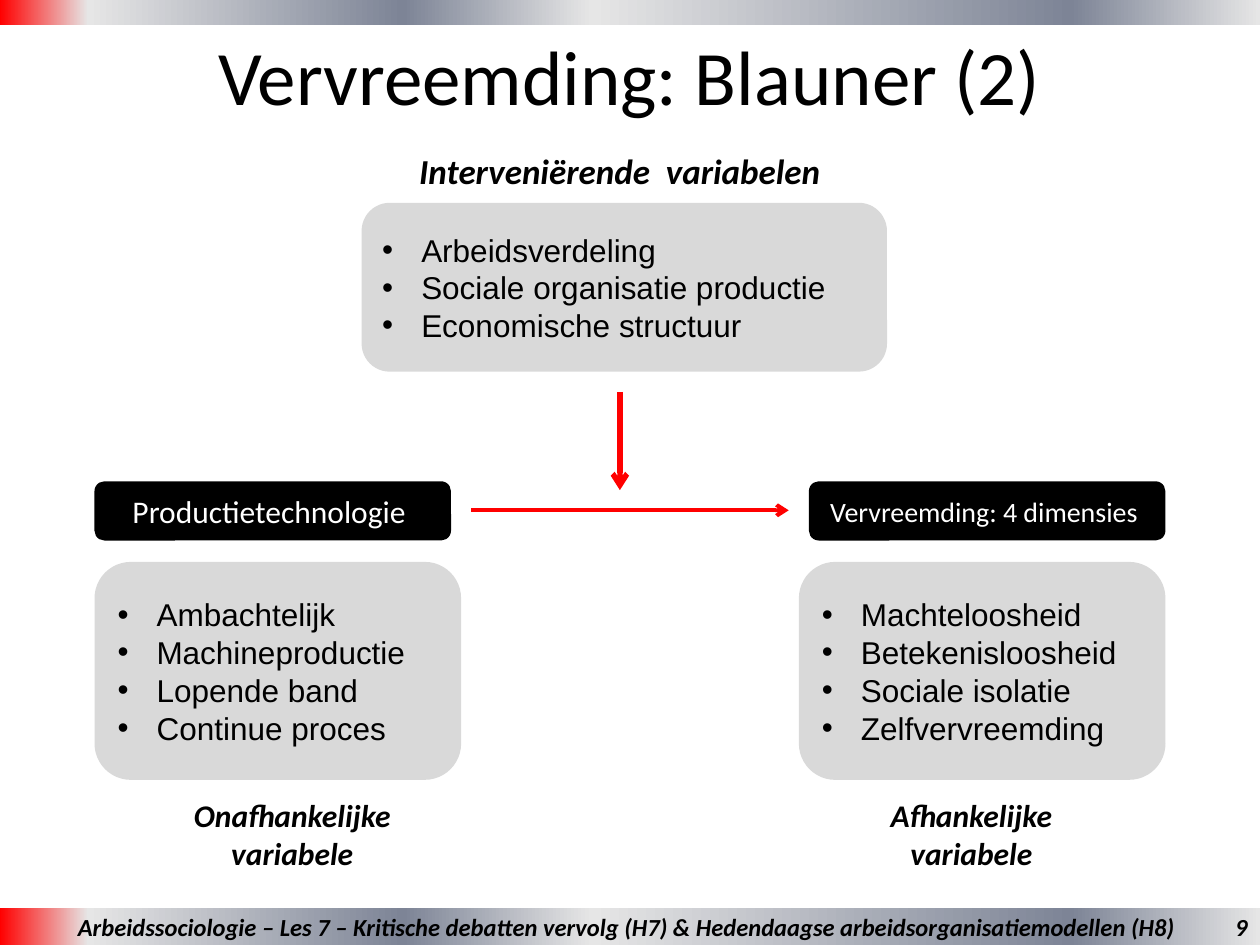
from lxml.etree import SubElement
from pptx import Presentation
from pptx.dml.color import RGBColor
from pptx.enum.shapes import MSO_CONNECTOR, MSO_SHAPE
from pptx.enum.text import MSO_ANCHOR, PP_ALIGN
from pptx.oxml.ns import qn
from pptx.util import Inches, Pt

BAND_STOPS = [(0, "FF0000"), (7, "E6E6E6"), (32, "7D8496"),
              (47, "E6E6E6"), (85, "7D8496"), (100, "E6E6E6")]
LEFT, RIGHT = 0.75, 9.25
HEADER_W, LIST_W = 2.83, 2.91


def rgb(value):
    return RGBColor.from_string(value)


class Deck:
    """Holds the style and the current slide."""
    black, white, grey, red = "000000", "FFFFFF", "D9D9D9", "FF0000"
    heading_font, list_font = "Calibri", "Arial"
    indent = 0.31

    def __init__(self, prs):
        self.s = prs.slides.add_slide(prs.slide_layouts[6])

    def set_text(self, sp, lines, size, font=None, color=None,
                 align=PP_ALIGN.CENTER, strong=False, bullets=False,
                 anchor=MSO_ANCHOR.MIDDLE):
        tf = sp.text_frame
        tf.word_wrap = True
        tf.vertical_anchor = anchor
        tf.text = "\n".join(lines)
        for p in tf.paragraphs:
            p.alignment = align
            if bullets:
                self.bullet(p)
            for r in p.runs:
                r.font.name = font or self.heading_font
                r.font.size = Pt(size)
                r.font.bold = r.font.italic = strong
                r.font.color.rgb = rgb(color or self.black)

    def bullet(self, p):
        pPr = p._p.get_or_add_pPr()
        pPr.set("marL", str(Inches(self.indent)))
        pPr.set("indent", str(-Inches(self.indent)))
        SubElement(pPr, qn("a:buFont"), typeface=self.list_font)
        SubElement(pPr, qn("a:buChar"), char="•")

    def label(self, text, x, y, w, h, size, **style):
        sp = self.s.shapes.add_textbox(*map(Inches, (x, y, w, h)))
        self.set_text(sp, [text], size, **style)

    def box(self, kind, x, y, w, h):
        sp = self.s.shapes.add_shape(kind, *map(Inches, (x, y, w, h)))
        sp.shadow.inherit = False
        sp.line.fill.background()
        return sp

    def band(self, y, h):
        sp = self.box(MSO_SHAPE.RECTANGLE, 0, y, 10, h)
        sp.fill.gradient()
        sp.fill.gradient_angle = 0
        stops = sp._element.spPr.find(qn("a:gradFill")).find(qn("a:gsLst"))
        for old in list(stops):
            stops.remove(old)
        for percent, color in BAND_STOPS:
            gs = SubElement(stops, qn("a:gs"), pos=str(percent * 1000))
            SubElement(gs, qn("a:srgbClr"), val=color)
        return sp

    def header(self, text, x, size):
        sp = self.box(MSO_SHAPE.ROUNDED_RECTANGLE, x, 3.82, HEADER_W, 0.47)
        sp.fill.solid()
        sp.fill.fore_color.rgb = rgb(self.black)
        self.set_text(sp, [text], size, color=self.white)

    def bullet_box(self, items, x, y, w, h):
        sp = self.box(MSO_SHAPE.ROUNDED_RECTANGLE, x, y, w, h)
        sp.fill.solid()
        sp.fill.fore_color.rgb = rgb(self.grey)
        self.set_text(sp, items, 18, font=self.list_font,
                      align=PP_ALIGN.LEFT, bullets=True)

    def arrow(self, x1, y1, x2, y2, width):
        line = self.s.shapes.add_connector(
            MSO_CONNECTOR.STRAIGHT, *map(Inches, (x1, y1, x2, y2)))
        line.line.color.rgb = rgb(self.red)
        line.line.width = Pt(width)
        spPr = line._element.spPr
        SubElement(spPr.find(qn("a:ln")), qn("a:tailEnd"), type="arrow")
        SubElement(spPr, qn("a:effectLst"))


def main():
    prs = Presentation()
    prs.slide_width, prs.slide_height = Inches(10), Inches(7.5)
    deck = Deck(prs)
    caption = {"strong": True, "anchor": MSO_ANCHOR.TOP}

    footer = deck.band(7.21, 0.29)
    deck.set_text(footer, ["Arbeidssociologie – Les 7 – Kritische debatten vervolg (H7) "
                           "& Hedendaagse arbeidsorganisatiemodellen (H8) "], 14, strong=True)
    deck.label("Vervreemding: Blauner (2)", 0, 0.13, 10, 0.92, 44)
    deck.label("9", 7.17, 7.21, 2.83, 0.29, 14, align=PP_ALIGN.RIGHT, strong=True)
    deck.band(0, 0.2)

    deck.label("Interveniërende  variabelen", 3.19, 1.14, 3.46, 0.44, 20, **caption)
    deck.bullet_box(["Arbeidsverdeling", "Sociale organisatie productie",
                     "Economische structuur"], 2.87, 1.61, 4.17, 1.34)
    deck.arrow(4.92, 3.11, 4.92, 3.89, 3)
    deck.arrow(3.74, 4.05, 6.26, 4.05, 2.25)

    deck.header("Productietechnologie ", LEFT, 18)
    deck.bullet_box(["Ambachtelijk", "Machineproductie", "Lopende band",
                     "Continue proces"], LEFT, 4.46, LIST_W, 1.73)
    deck.label("Onafhankelijke variabele", 0.98, 6.27, 2.68, 0.71, 18, **caption)

    deck.header("Vervreemding: 4 dimensies ", RIGHT - HEADER_W, 16)
    deck.bullet_box(["Machteloosheid", "Betekenisloosheid", "Sociale isolatie",
                     "Zelfvervreemding"], RIGHT - LIST_W, 4.46, LIST_W, 1.73)
    deck.label("Afhankelijke variabele", 6.53, 6.27, 2.36, 0.71, 18, **caption)

    prs.save("out.pptx")


if __name__ == "__main__":
    main()
